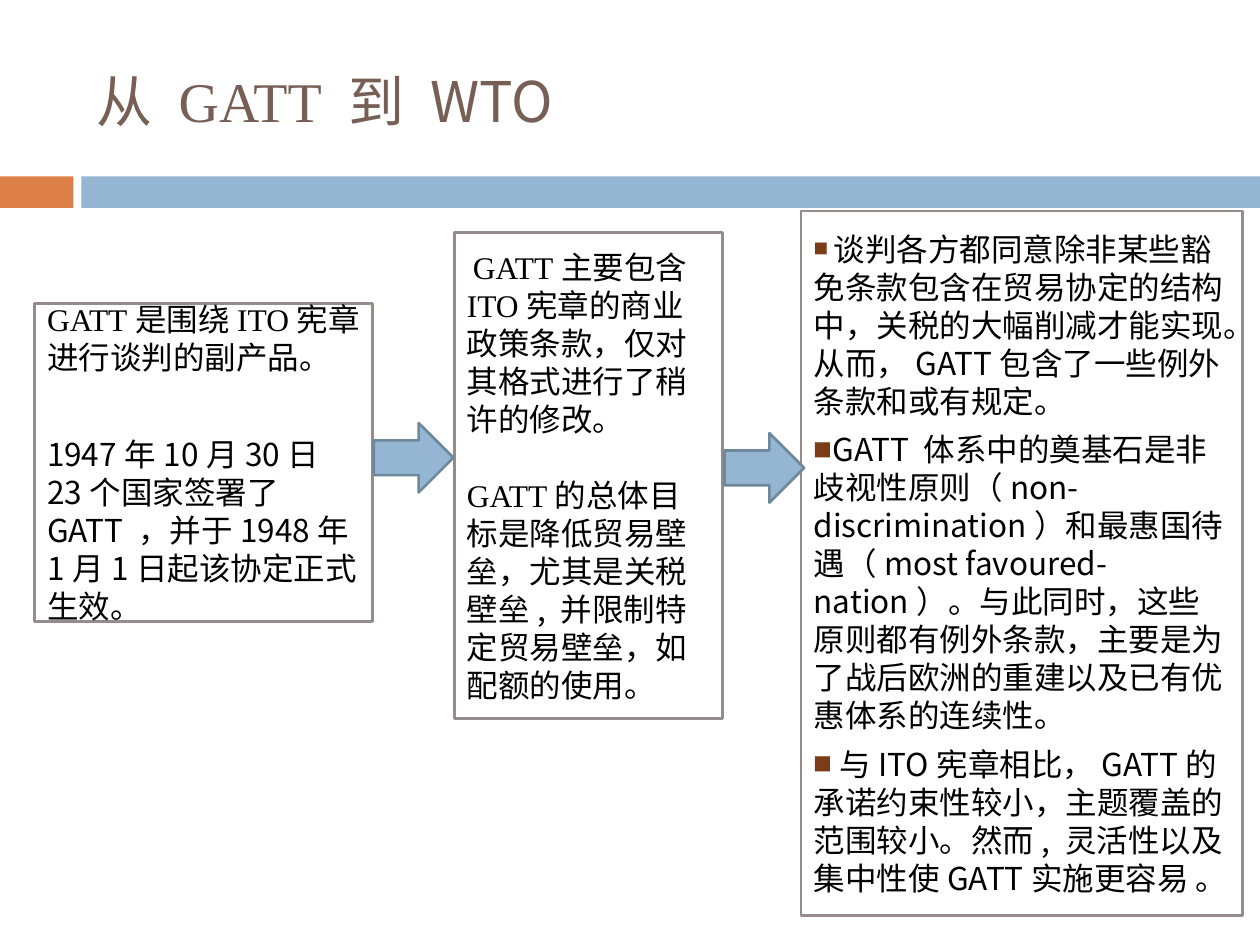
"""Build the slide on the path from GATT to WTO."""
from lxml.etree import SubElement
from pptx import Presentation
from pptx.dml.color import RGBColor
from pptx.enum.lang import MSO_LANGUAGE_ID
from pptx.enum.shapes import MSO_SHAPE
from pptx.enum.text import MSO_ANCHOR, MSO_AUTO_SIZE, PP_ALIGN
from pptx.oxml.ns import qn
from pptx.util import Pt

COLORS = {
    "orange": "DD8047", "blue": "94B6D2", "title": "775F55", "white": "FFFFFF",
    "border": "968C8C", "arrow": "6D879B", "text": "000000", "bullet": "7B3D17",
}
SANS, SERIF = "Noto Sans CJK SC", "Times New Roman"
FRAME = {"word_wrap": True, "auto_size": MSO_AUTO_SIZE.NONE,
         "vertical_anchor": MSO_ANCHOR.MIDDLE}
BODY = {"alignment": PP_ALIGN.LEFT, "line_spacing": Pt(21.7),
        "space_before": Pt(0), "space_after": Pt(0)}

TITLE = [("从 ", "Arial Narrow"), ("GATT ", SERIF), ("到 ", "Arial Narrow"), ("WTO", SANS)]
ORIGIN = [
    [("GATT", SERIF), ("是围绕", SANS), ("ITO", SERIF), ("宪章进行谈判的副产品。", SANS)],
    [("1947年10月30日23个国家签署了 GATT ，并于1948年1月1日起该协定正式生效。", SANS)],
]
CONTENT = [
    [(" ", SERIF, 14), ("GATT", SERIF), ("主要包含", SANS), ("ITO", SERIF),
     ("宪章的商业政策条款，仅对其格式进行了稍许的修改。", SANS)],
    [("GATT", SERIF),
     ("的总体目标是降低贸易壁垒，尤其是关税壁垒, 并限制特定贸易壁垒，如配额的使用。", SANS)],
]
PRINCIPLES = [
    [(" ", "Arial", 14),
     ("谈判各方都同意除非某些豁免条款包含在贸易协定的结构中，关税的大幅削减才能实现。"
      "从而，GATT包含了一些例外条款和或有规定。", SANS)],
    [("GATT 体系中的奠基石是非歧视性原则（non-discrimination）和最惠国待遇"
      "（most favoured-nation）。与此同时，这些原则都有例外条款，"
      "主要是为了战后欧洲的重建以及已有优惠体系的连续性。", SANS)],
    [(" 与ITO宪章相比，GATT的承诺约束性较小，主题覆盖的范围较小。"
      "然而, 灵活性以及集中性使GATT实施更容易 。", SANS)],
]


def apply(target, values):
    """Set every attribute in values on target."""
    for name, value in values.items():
        setattr(target, name, value)


def place(shape, left, top, width, height):
    """Move and size a shape in points."""
    apply(shape, {"left": Pt(left), "top": Pt(top), "width": Pt(width), "height": Pt(height)})


def paint(shape, fill, line=None):
    """Give a shape a solid fill and an optional outline."""
    shape.fill.solid()
    shape.fill.fore_color.rgb = RGBColor.from_string(COLORS[fill])
    if line:
        shape.line.color.rgb = RGBColor.from_string(COLORS[line])
        shape.line.width = Pt(1.5)
    else:
        shape.line.fill.background()


def add_figure(page, kind, area, fill, line=None):
    """Add a painted preset shape without a shadow."""
    shape = page.shapes.add_shape(kind, *(Pt(length) for length in area))
    shape.shadow.inherit = False
    paint(shape, fill, line)
    return shape


def add_span(para, color, text, font, size):
    """Append one formatted run to a paragraph."""
    span = para.add_run()
    span.text = text
    apply(span.font, {"name": font, "size": Pt(size), "bold": False,
                      "language_id": MSO_LANGUAGE_ID.SIMPLIFIED_CHINESE})
    span.font.color.rgb = RGBColor.from_string(COLORS[color])
    latin = span.font._element.find(qn("a:latin"))
    east = SubElement(span.font._element, qn("a:ea"), typeface=SANS)
    latin.addnext(east)


def write(shape, paragraphs, values, color="text", size=18, gap=0):
    """Fill a shape with paragraphs, the later ones set off by a gap."""
    frame = shape.text_frame
    apply(frame, FRAME)
    for index, spans in enumerate(paragraphs):
        para = frame.add_paragraph() if index else frame.paragraphs[0]
        apply(para, values)
        if index and gap:
            para.space_before = Pt(gap)
        for text, font, *own_size in spans:
            add_span(para, color, text, font, *(own_size or [size]))


def add_bullets(shape):
    """Put a small square before each paragraph."""
    for para in shape.text_frame.paragraphs:
        properties = para._p.get_or_add_pPr()
        properties.set("marL", "0")
        properties.set("indent", "0")
        color = SubElement(properties, qn("a:buClr"))
        SubElement(color, qn("a:srgbClr"), val=COLORS["bullet"])
        SubElement(properties, qn("a:buSzPct"), val="60000")
        SubElement(properties, qn("a:buFont"), typeface=SANS)
        SubElement(properties, qn("a:buChar"), char="■")


def add_box(page, area, paragraphs, gap):
    """Add an outlined box of text."""
    box = add_figure(page, MSO_SHAPE.RECTANGLE, area, "white", "border")
    write(box, paragraphs, BODY, gap=gap)


def main():
    """Build and save the deck."""
    deck = Presentation()
    apply(deck, {"slide_width": Pt(720), "slide_height": Pt(540)})
    page = deck.slides.add_slide(deck.slide_layouts[1])
    title, principles = page.placeholders

    for left, width, color in ((0, 42, "orange"), (46.5, 673.5, "blue")):
        add_figure(page, MSO_SHAPE.RECTANGLE, (left, 100.8, width, 18), color)

    place(title, 48, 18, 642, 78)
    write(title, [TITLE], {"alignment": PP_ALIGN.LEFT}, "title", 32)

    add_box(page, (19.8, 173.5, 193, 181.5), ORIGIN, 33.7)
    add_box(page, (259.7, 133, 153.3, 277.6), CONTENT, 21.7)

    place(principles, 457.8, 120.5, 252.3, 402.5)
    paint(principles, "white", "border")
    write(principles, PRINCIPLES, {**BODY, "space_after": Pt(6)})
    add_bullets(principles)

    for left, top in ((213.6, 241.7), (414, 247.5)):
        add_figure(page, MSO_SHAPE.RIGHT_ARROW, (left, top, 45.5, 39.7), "blue", "arrow")

    deck.save("out.pptx")


if __name__ == "__main__":
    main()
